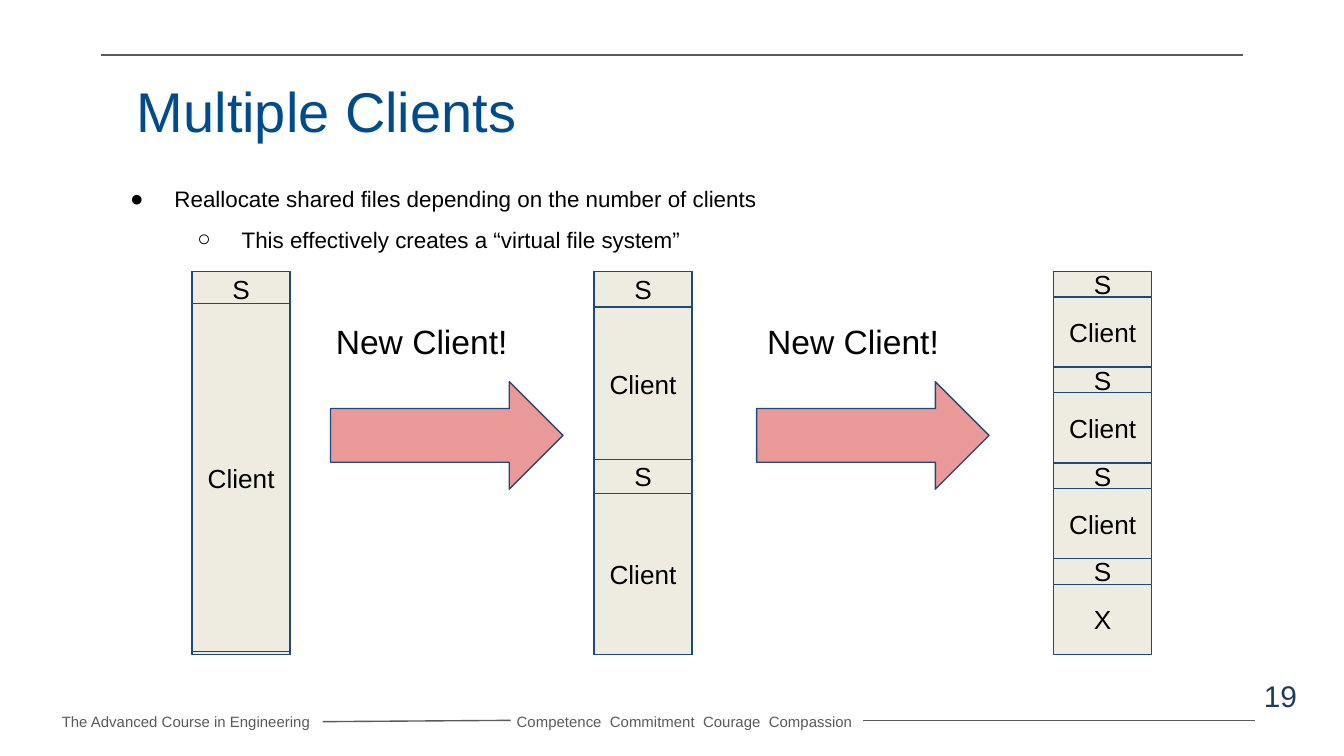
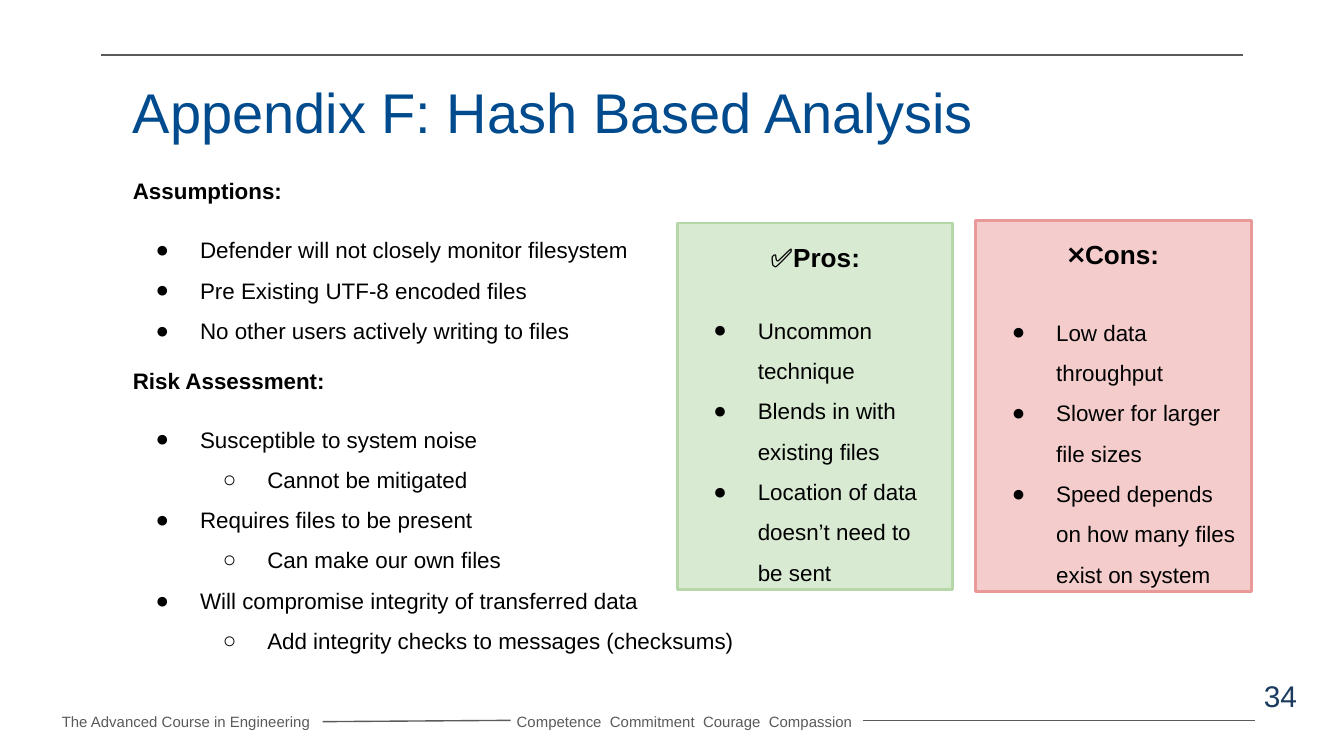
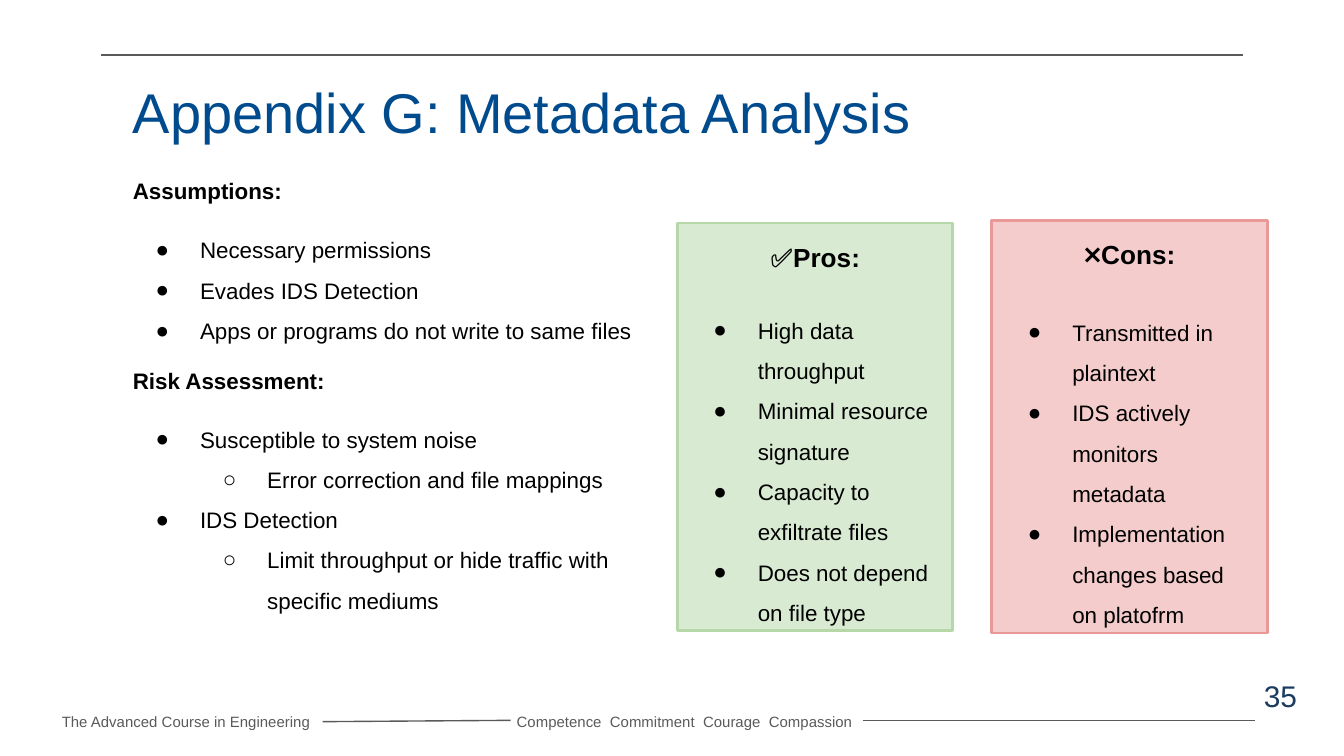
from lxml import etree
from pptx import Presentation
from pptx.dml.color import RGBColor
from pptx.enum.shapes import MSO_CONNECTOR, MSO_SHAPE
from pptx.enum.text import MSO_ANCHOR, PP_ALIGN
from pptx.oxml.ns import qn
from pptx.util import Inches, Pt

LEFT, CENTER, RIGHT = PP_ALIGN.LEFT, PP_ALIGN.CENTER, PP_ALIGN.RIGHT
TOP, MIDDLE = MSO_ANCHOR.TOP, MSO_ANCHOR.MIDDLE
RECT, ARROW = MSO_SHAPE.RECTANGLE, MSO_SHAPE.RIGHT_ARROW
STRAIGHT = MSO_CONNECTOR.STRAIGHT

SLIDE_W = 10
SLIDE_H = SLIDE_W * 9 / 16
FONT = "Arial"
COLORS = {
    "title": "004B8D",
    "number": "1B3B60",
    "footer": "595A59",
    "text": "000000",
    "block": "EEECE1",
    "outline": "1F497D",
    "arrow": "EA9999",
    "pros": "D9EAD3",
    "pros_line": "B6D7A8",
    "cons": "F4CCCC",
    "cons_line": "EA9999",
}
BULLETS = "●○"
FOOTER_INSETS = (0.07, 0.04)
BLOCK_W, STACK_TOP, STACK_H = 0.73, 2.02, 2.85


def rgb(name):
    return RGBColor.from_string(COLORS[name])


def set_frame(sp, anchor=TOP, insets=(0.1, 0.1)):
    tf = sp.text_frame
    tf.word_wrap = True
    tf.vertical_anchor = anchor
    tf.margin_left = tf.margin_right = Inches(insets[0])
    tf.margin_top = tf.margin_bottom = Inches(insets[1])
    return tf


def style(p, size, color="text", bold=False, align=LEFT, spacing=None, before=0):
    p.alignment = align
    p.space_before = Pt(before)
    if spacing:
        p.line_spacing = spacing
    for r in p.runs:
        r.font.name = FONT
        r.font.size = Pt(size)
        r.font.bold = bold
        r.font.color.rgb = rgb(color)


def add_bullet(p, level):
    p.level = level
    pPr = p._p.get_or_add_pPr()
    pPr.set("marL", str(Inches(0.5 * (level + 1))))
    pPr.set("indent", str(Inches(-0.33)))
    color = etree.SubElement(pPr, qn("a:buClr"))
    etree.SubElement(color, qn("a:srgbClr"), val=COLORS["text"])
    etree.SubElement(pPr, qn("a:buFont"), typeface=FONT)
    etree.SubElement(pPr, qn("a:buChar"), char=BULLETS[level])


def next_paragraph(tf):
    return tf.add_paragraph() if tf.text else tf.paragraphs[0]


def add_heading(tf, text, size=12, align=LEFT, before=0):
    p = next_paragraph(tf)
    p.text = text
    style(p, size, bold=True, align=align, spacing=1.15, before=before)


def add_bullets(tf, items, before=0):
    for i, (level, text) in enumerate(items):
        p = next_paragraph(tf)
        p.text = text
        add_bullet(p, level)
        style(p, 12, spacing=1.5, before=0 if i else before)


def add_box(s, at):
    return s.shapes.add_textbox(*map(Inches, at))


def add_label(s, at, text, size, color="text", align=LEFT, anchor=TOP,
              insets=(0.1, 0.1), spacing=None):
    tf = set_frame(add_box(s, at), anchor, insets)
    tf.text = text
    style(tf.paragraphs[0], size, color, align=align, spacing=spacing)


def add_shape(s, kind, at, fill, line, width=0.75):
    sp = s.shapes.add_shape(kind, *map(Inches, at))
    sp.shadow.inherit = False
    sp.fill.solid()
    sp.fill.fore_color.rgb = rgb(fill)
    sp.line.color.rgb = rgb(line)
    sp.line.width = Pt(width)
    return sp


def add_rule(s, *ends):
    line = s.shapes.add_connector(STRAIGHT, *map(Inches, ends))
    line.line.color.rgb = rgb("footer")
    line.line.width = Pt(0.75)
    etree.SubElement(line._element.spPr, qn("a:effectLst"))


def add_slide(prs, title, number, left=0.89, top=0.53):
    s = prs.slides.add_slide(prs.slide_layouts[6])
    add_rule(s, 0.75, 0.41, 9.25, 0.41)
    add_label(s, (8.75, 5, 0.97, 0.34), str(number), 16, "number", RIGHT,
              insets=FOOTER_INSETS)
    add_rule(s, 6.42, 5.36, 9.34, 5.36)
    add_rule(s, 2.4, 5.37, 3.8, 5.36)
    add_label(s, (0.39, 5.26, 2, 0.21), "The Advanced Course in Engineering",
              8, "footer", insets=FOOTER_INSETS)
    add_label(s, (3.77, 5.26, 2.65, 0.21),
              "Competence  Commitment  Courage  Compassion",
              8, "footer", CENTER, insets=FOOTER_INSETS)
    add_label(s, (left, top, 8.65, 0.66), title, 30, "title", anchor=MIDDLE,
              insets=(0.1, 0.05), spacing=0.9)
    return s


def add_stack(s, left, blocks, framed=True):
    if framed:
        add_shape(s, RECT, (left, STACK_TOP, BLOCK_W, STACK_H), "block", "outline")
    for text, top, height in blocks:
        sp = add_shape(s, RECT, (left, top, BLOCK_W, height), "block", "outline")
        tf = set_frame(sp, MIDDLE)
        tf.text = text
        style(tf.paragraphs[0], 14, align=CENTER)


def add_analysis(s, width, height, assumptions, risks):
    tf = set_frame(add_box(s, (0.89, 1.19, width, height)))
    add_heading(tf, "Assumptions:")
    add_bullets(tf, assumptions, before=10)
    add_heading(tf, "Risk Assessment:", before=10)
    add_bullets(tf, risks, before=10)


def add_card(s, at, kind, heading, gap, items):
    sp = add_shape(s, RECT, at, kind, kind + "_line", 1.5)
    tf = set_frame(sp)
    add_heading(tf, heading, 14, CENTER)
    add_bullets(tf, [(0, text) for text in items], before=gap)


def add_pros(s, height, items):
    add_card(s, (5.04, 1.66, 2.05, height), "pros", "✅Pros:", 16.5, items)


def add_cons(s, left, height, items):
    add_card(s, (left, 1.64, 2.05, height), "cons", "❌Cons:", 19, items)


def build_clients(prs):
    s = add_slide(prs, "Multiple Clients", 19, 0.92, 0.52)
    add_stack(s, 1.43, [("S", STACK_TOP, 0.26), ("Client", 2.26, 2.59)])
    add_stack(s, 4.42, [("S", STACK_TOP, 0.26), ("Client", 2.29, 1.14),
                        ("S", 3.42, 0.25), ("Client", 3.67, 1.2)])
    step = STACK_H / 4
    quarters = []
    for i, text in enumerate(["Client", "Client", "Client", "X"]):
        top = STACK_TOP + i * step
        quarters += [("S", top, 0.19), (text, top + 0.19, step - 0.19)]
    add_stack(s, 7.84, quarters, framed=False)
    for arrow_left, label_left in [(2.46, 2.4), (5.63, 5.61)]:
        add_shape(s, ARROW, (arrow_left, 2.84, 1.73, 0.8), "arrow", "outline")
        add_label(s, (label_left, 2.29, 1.69, 0.42), "New Client!", 18)
    add_bullets(set_frame(add_box(s, (0.7, 1.18, 7.73, 0.53))), [
        (0, "Reallocate shared files depending on the number of clients"),
        (1, "This effectively creates a “virtual file system”"),
    ])


def build_hash(prs):
    s = add_slide(prs, "Appendix F: Hash Based Analysis", 34)
    add_analysis(s, 5.02, 3.71, [
        (0, "Defender will not closely monitor filesystem"),
        (0, "Pre Existing UTF-8 encoded files"),
        (0, "No other users actively writing to files"),
    ], [
        (0, "Susceptible to system noise"),
        (1, "Cannot be mitigated"),
        (0, "Requires files to be present"),
        (1, "Can make our own files"),
        (0, "Will compromise integrity of transferred data"),
        (1, "Add integrity checks to messages (checksums)"),
    ])
    add_cons(s, 7.26, 2.76, [
        "Low data throughput",
        "Slower for larger file sizes",
        "Speed depends on how many files exist on system",
    ])
    add_pros(s, 2.73, [
        "Uncommon technique",
        "Blends in with existing files",
        "Location of data doesn’t need to be sent",
    ])


def build_metadata(prs):
    s = add_slide(prs, "Appendix G: Metadata Analysis", 35)
    add_analysis(s, 4.16, 3.85, [
        (0, "Necessary permissions"),
        (0, "Evades IDS Detection"),
        (0, "Apps or programs do not write to same files"),
    ], [
        (0, "Susceptible to system noise"),
        (1, "Error correction and file mappings"),
        (0, "IDS Detection"),
        (1, "Limit throughput or hide traffic with specific mediums"),
    ])
    add_cons(s, 7.38, 3.07, [
        "Transmitted in plaintext",
        "IDS actively monitors metadata",
        "Implementation changes based on platofrm",
    ])
    add_pros(s, 3.03, [
        "High data throughput",
        "Minimal resource signature",
        "Capacity to exfiltrate files",
        "Does not depend on file type",
    ])


def main():
    prs = Presentation()
    prs.slide_width, prs.slide_height = Inches(SLIDE_W), Inches(SLIDE_H)
    build_clients(prs)
    build_hash(prs)
    build_metadata(prs)
    prs.save("out.pptx")


if __name__ == "__main__":
    main()
